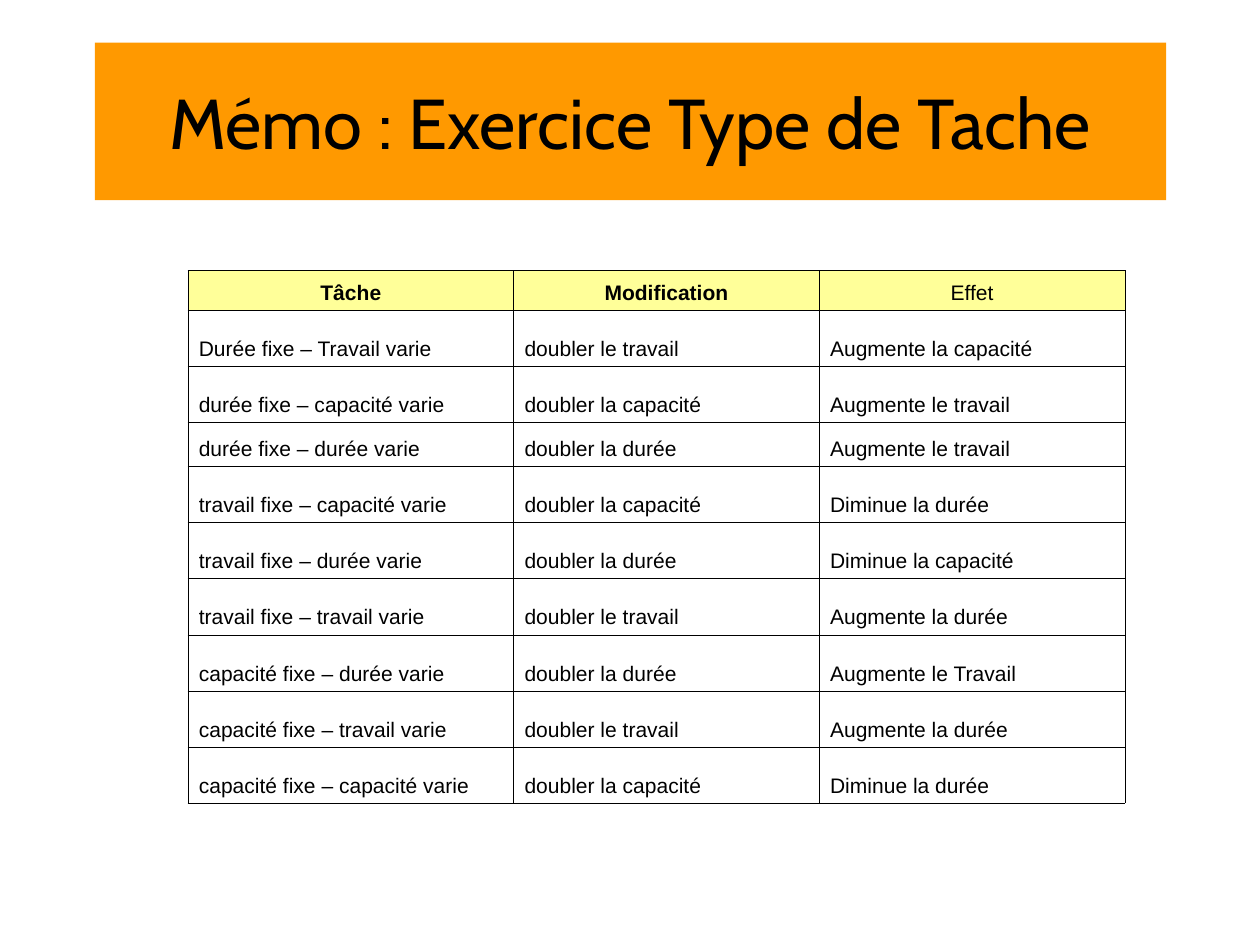
from dataclasses import dataclass

from lxml import etree
from pptx import Presentation
from pptx.dml.color import RGBColor
from pptx.enum.text import MSO_ANCHOR, MSO_AUTO_SIZE, PP_ALIGN
from pptx.oxml.ns import qn
from pptx.slide import Slide
from pptx.table import _Cell
from pptx.util import Emu, Pt

CENTER = PP_ALIGN.CENTER
LEFT = PP_ALIGN.LEFT
MIDDLE = MSO_ANCHOR.MIDDLE
BOTTOM = MSO_ANCHOR.BOTTOM
NO_AUTOFIT = MSO_AUTO_SIZE.NONE

ORANGE = RGBColor(0xFF, 0x99, 0x00)
PALE_YELLOW = RGBColor(0xFF, 0xFF, 0x99)
BLACK = RGBColor(0x00, 0x00, 0x00)

SLIDE_WIDTH = Emu(10666413)
SLIDE_HEIGHT = Emu(7999413)
BORDER_WIDTH = Pt(0.45)


@dataclass(frozen=True)
class Area:
    """Position and size in percent of the slide."""

    left: float
    top: float
    width: float
    height: float


@dataclass(frozen=True)
class TaskRow:
    task: str
    change: str
    effect: str
    height: float = 5.94

    def texts(self) -> tuple[str, str, str]:
        return self.task, self.change, self.effect


TITLE = "Mémo : Exercice Type de Tache"
TITLE_AREA = Area(7.53, 4.5, 85.02, 16.67)
TABLE_AREA = Area(14.92, 28.63, 74.35, 56.4)
COLUMN_WIDTHS = (25.85, 24.25, 24.25)
TASK_ROWS = (
    TaskRow("Tâche", "Modification", "Effet", 4.23),
    TaskRow("Durée fixe – Travail varie", "doubler le travail", "Augmente la capacité"),
    TaskRow("durée fixe – capacité varie", "doubler la capacité", "Augmente le travail"),
    TaskRow("durée fixe – durée varie", "doubler la durée", "Augmente le travail", 4.65),
    TaskRow("travail fixe – capacité varie", "doubler la capacité", "Diminue la durée"),
    TaskRow("travail fixe – durée varie", "doubler la durée", "Diminue la capacité"),
    TaskRow("travail fixe – travail varie", "doubler le travail", "Augmente la durée"),
    TaskRow("capacité fixe – durée varie", "doubler la durée", "Augmente le Travail"),
    TaskRow("capacité fixe – travail varie", "doubler le travail", "Augmente la durée"),
    TaskRow("capacité fixe – capacité varie", "doubler la capacité", "Diminue la durée"),
)


def across(percent: float) -> Emu:
    return Emu(round(SLIDE_WIDTH * percent / 100))


def down(percent: float) -> Emu:
    return Emu(round(SLIDE_HEIGHT * percent / 100))


def bounds(area: Area) -> tuple[Emu, Emu, Emu, Emu]:
    return across(area.left), down(area.top), across(area.width), down(area.height)


def draw_title(slide: Slide) -> None:
    title = slide.shapes.title
    title.left, title.top, title.width, title.height = bounds(TITLE_AREA)
    title.fill.solid()
    title.fill.fore_color.rgb = ORANGE
    frame = title.text_frame
    frame.text = TITLE
    frame.word_wrap = True
    frame.auto_size = NO_AUTOFIT
    frame.vertical_anchor = MIDDLE
    frame.margin_left = frame.margin_right = across(1.03)
    frame.margin_top = frame.margin_bottom = down(0.69)
    paragraph = frame.paragraphs[0]
    paragraph.alignment = CENTER
    paragraph.font.name = "Cabin"
    paragraph.font.size = Pt(47)
    paragraph.font.color.rgb = BLACK


def add_borders(cell: _Cell) -> None:
    properties = cell._tc.get_or_add_tcPr()
    for position, side in enumerate(("lnL", "lnR", "lnT", "lnB")):
        line = etree.Element(qn(f"a:{side}"), w=str(BORDER_WIDTH))
        fill = etree.SubElement(line, qn("a:solidFill"))
        etree.SubElement(fill, qn("a:srgbClr"), val=str(BLACK))
        properties.insert(position, line)


def fill_cell(cell: _Cell, text: str, header: bool, bold: bool) -> None:
    cell.text = text
    cell.vertical_anchor = BOTTOM
    if header:
        cell.fill.solid()
        cell.fill.fore_color.rgb = PALE_YELLOW
    else:
        cell.fill.background()
    add_borders(cell)
    paragraph = cell.text_frame.paragraphs[0]
    paragraph.alignment = CENTER if header else LEFT
    paragraph.font.name = "Arial"
    paragraph.font.size = Pt(14)
    paragraph.font.bold = bold
    paragraph.font.color.rgb = BLACK


def draw_table(slide: Slide) -> None:
    table = slide.shapes.add_table(
        len(TASK_ROWS), len(COLUMN_WIDTHS), *bounds(TABLE_AREA)
    ).table
    table.first_row = False
    table.horz_banding = False
    for column, width in zip(table.columns, COLUMN_WIDTHS):
        column.width = across(width)
    for row_index, task_row in enumerate(TASK_ROWS):
        table.rows[row_index].height = down(task_row.height)
        header = row_index == 0
        for column_index, text in enumerate(task_row.texts()):
            bold = header and column_index < 2
            fill_cell(table.cell(row_index, column_index), text, header, bold)


def main() -> None:
    presentation = Presentation()
    presentation.slide_width = SLIDE_WIDTH
    presentation.slide_height = SLIDE_HEIGHT
    slide = presentation.slides.add_slide(presentation.slide_layouts[5])
    draw_title(slide)
    draw_table(slide)
    presentation.save("out.pptx")


if __name__ == "__main__":
    main()
